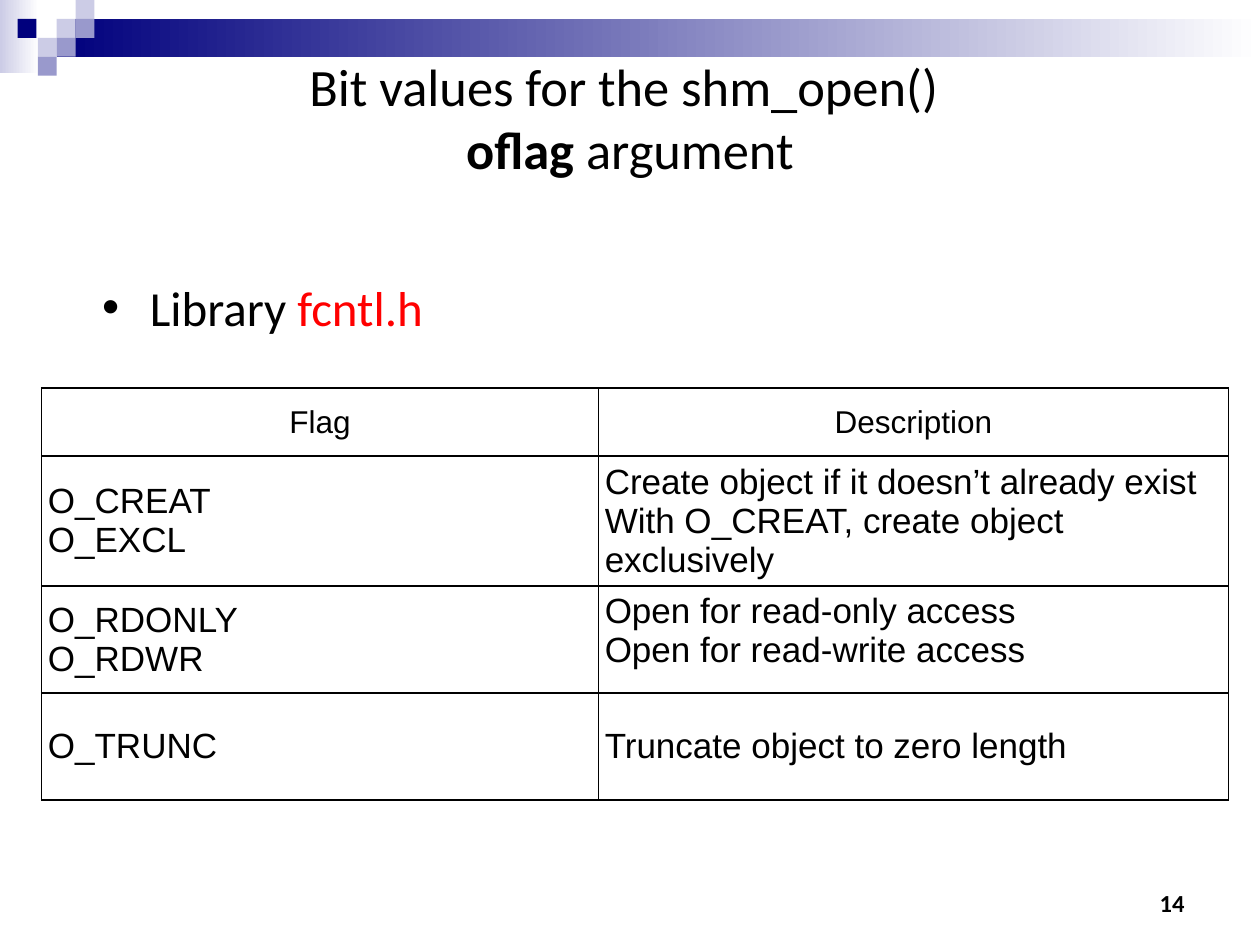
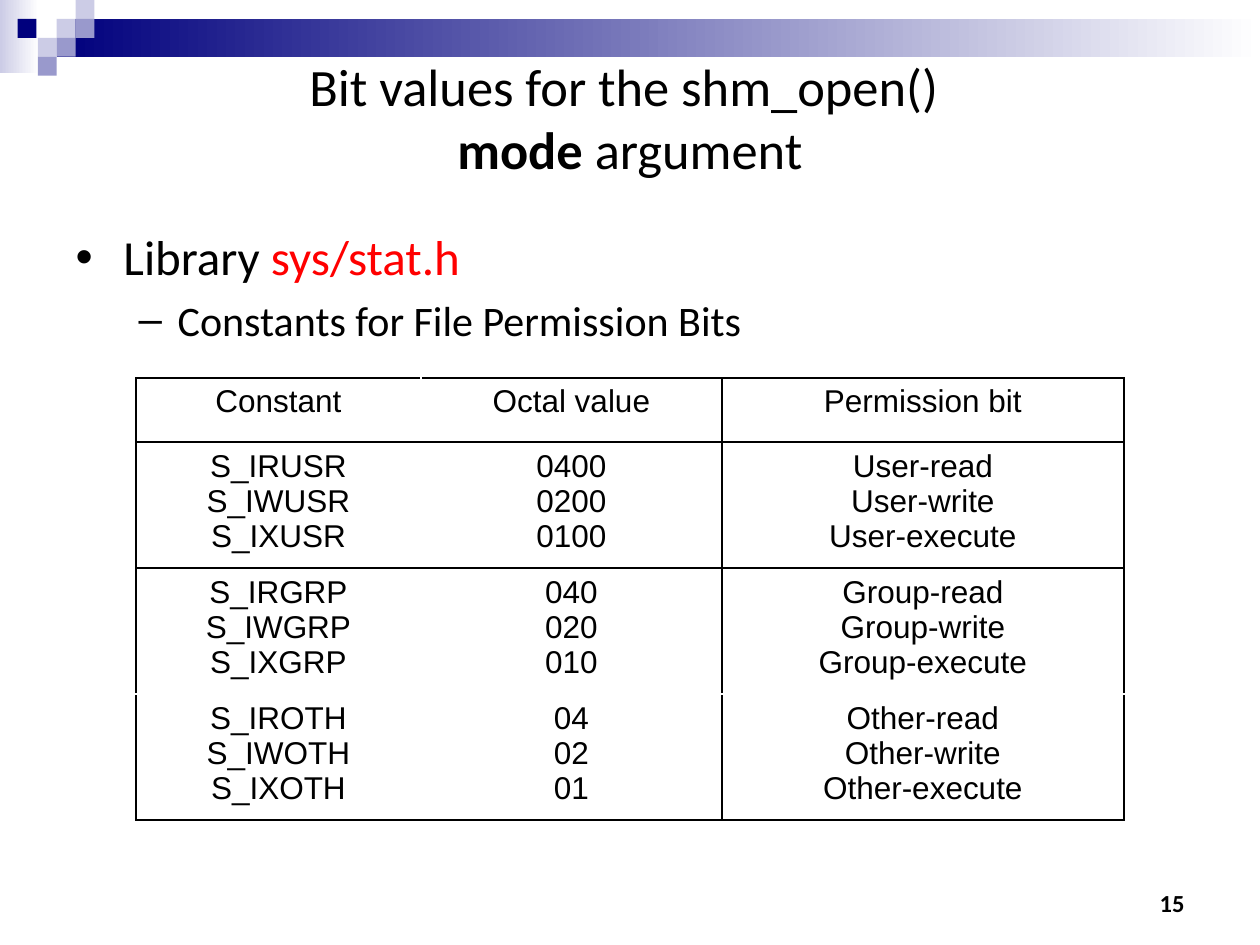
"""Build two slides on the flag and mode arguments of shm_open()."""
from dataclasses import dataclass

from lxml.etree import SubElement as Sub
from pptx import Presentation
from pptx.dml.color import RGBColor as Rgb
from pptx.enum.shapes import MSO_SHAPE as Shape
from pptx.enum.text import MSO_ANCHOR as Anchor, MSO_AUTO_SIZE as Auto, PP_ALIGN as Align
from pptx.oxml.ns import qn
from pptx.util import Inches, Pt


@dataclass(frozen=True)
class Theme:
    """Colours, fonts and type sizes."""
    ink: str = "000000"
    paper: str = "FFFFFF"
    accent: str = "FF0000"
    navy: str = "00007D"
    mid: str = "9999CC"
    pale: str = "CCCCE6"
    head: str = "Calibri"
    grid: str = "Arial"
    title: int = 30
    list: tuple = (28, 24)
    cell: int = 18
    large: int = 20
    page: int = 14


LEVELS = (("•", 0.38, 0.38, 0), ("–", 0.81, 0.31, 4.8))
FRAME = {"word_wrap": True, "auto_size": Auto.NONE,
         "margin_left": Inches(0.1), "margin_right": Inches(0.1),
         "margin_top": Inches(0.05), "margin_bottom": Inches(0.05)}
CELL = {f"margin_{side}": Inches(0.05) for side in ("left", "right", "top", "bottom")}


def put(item, form):
    """Set each attribute named in a dict of format values."""
    for name, value in form.items():
        setattr(item, name, value)


def place(shape, box):
    """Move a shape to a box given in inches."""
    put(shape, dict(zip(("left", "top", "width", "height"), map(Inches, box))))


class Deck:
    """Hold the theme and the current slide."""

    def __init__(self, theme):
        """Start an empty deck."""
        self.theme = theme
        self.show = Presentation()
        put(self.show, {"slide_width": Inches(10), "slide_height": Inches(7.5)})

    def start(self, word, page):
        """Add a slide with its bands, title and page number."""
        self.slide = self.show.slides.add_slide(self.show.slide_layouts[1])
        self.bands()
        self.title(word)
        self.page(page)

    def words(self, para, text, size, font=None, color=None, bold=False):
        """Add a run of formatted text."""
        run = para.add_run()
        run.text = text
        put(run.font, {"name": font or self.theme.head, "size": Pt(size), "bold": bold})
        run.font.color.rgb = Rgb.from_string(color or self.theme.ink)

    def block(self, box, *colors):
        """Draw a rectangle, plain or shaded, behind the text."""
        shape = self.slide.shapes.add_shape(Shape.RECTANGLE, *map(Inches, box))
        shape.shadow.inherit = False
        shape.line.fill.background()
        if len(colors) == 1:
            shape.fill.solid()
            shape.fill.fore_color.rgb = Rgb.from_string(colors[0])
        else:
            shape.fill.gradient()
            shape.fill.gradient_angle = 0
            for stop, color in zip(shape.fill.gradient_stops, colors):
                stop.color.rgb = Rgb.from_string(color)
        self.slide.shapes.title._element.addprevious(shape._element)

    def bands(self):
        """Draw the top band and its squares."""
        look, unit = self.theme, 0.15
        self.block((0, 0, 0.31, 0.58), look.pale, look.paper)
        self.block((0.45, unit, 9.55, 0.3), look.navy, look.paper)
        for left, top, color in ((3, 1, look.pale), (4, 0, look.pale), (4, 1, look.mid),
                                 (2, 2, look.pale), (0.93, 1, look.navy),
                                 (3, 2, look.mid), (2, 3, look.mid)):
            self.block((left * unit, top * unit, unit, unit), color)

    def title(self, word):
        """Fill the title, with its key word in bold."""
        shape, size = self.slide.shapes.title, self.theme.title
        place(shape, (0.5, 0.3, 9, 1.25))
        put(shape.text_frame, FRAME | {"vertical_anchor": Anchor.MIDDLE})
        para = shape.text_frame.paragraphs[0]
        para.alignment = Align.CENTER
        self.words(para, "Bit values for the shm_open() ", size)
        para.add_line_break()
        self.words(para, word, size, bold=True)
        self.words(para, " argument", size)

    def page(self, number):
        """Add the page number."""
        box = self.slide.shapes.add_textbox(*map(Inches, (7.17, 6.83, 2.33, 0.5)))
        put(box.text_frame, FRAME | {"vertical_anchor": Anchor.BOTTOM})
        para = box.text_frame.paragraphs[0]
        para.alignment = Align.RIGHT
        self.words(para, str(number), self.theme.page, bold=True)

    def list(self, box, *items):
        """Fill the body with items of level, text and accent text."""
        shape = self.slide.placeholders[1]
        place(shape, box)
        frame = shape.text_frame
        put(frame, FRAME | {"vertical_anchor": Anchor.TOP})
        for spot, (level, text, key) in enumerate(items):
            para = frame.add_paragraph() if spot else frame.paragraphs[0]
            mark, left, hang, space = LEVELS[level]
            props = para._p.get_or_add_pPr()
            props.set("marL", str(Inches(left)))
            props.set("indent", str(-Inches(hang)))
            Sub(Sub(props, qn("a:buClr")), qn("a:srgbClr"), val=self.theme.ink)
            Sub(props, qn("a:buFont"), typeface=self.theme.grid)
            Sub(props, qn("a:buChar"), char=mark)
            put(para, {"level": level, "space_before": Pt(space)})
            size = self.theme.list[level]
            self.words(para, text, size)
            if key:
                self.words(para, key, size, color=self.theme.accent)

    def edges(self, cell, row, col, clear):
        """Rule a cell, in paper colour along the cleared lines."""
        props = cell._tc.get_or_add_tcPr()
        for side, line in (("L", ("col", col)), ("R", ("col", col + 1)),
                           ("T", ("row", row)), ("B", ("row", row + 1))):
            rule = Sub(props, qn(f"a:ln{side}"), w=str(Pt(1)))
            color = self.theme.paper if line in clear else self.theme.ink
            Sub(Sub(rule, qn("a:solidFill")), qn("a:srgbClr"), val=color)

    def table(self, spot, wide, high, rows, size, align, anchor, tops=(), clear=()):
        """Add a ruled table; cells in tops keep their text at the top."""
        box = (*spot, sum(wide), sum(high))
        grid = self.slide.shapes.add_table(len(rows), len(wide), *map(Inches, box)).table
        put(grid, {"first_row": False, "horz_banding": False})
        for col, width in zip(grid.columns, wide):
            col.width = Inches(width)
        for row, height in zip(grid.rows, high):
            row.height = Inches(height)
        for r, row in enumerate(rows):
            for c, text in enumerate(row):
                cell = grid.cell(r, c)
                put(cell, CELL | {"vertical_anchor": Anchor.TOP if (r, c) in tops else anchor})
                self.edges(cell, r, c, clear)
                cell.fill.background()
                frame = cell.text_frame
                for n, line in enumerate(text.split("\n")):
                    para = frame.add_paragraph() if n else frame.paragraphs[0]
                    para.alignment = align if r else Align.CENTER
                    self.words(para, line, size if r else self.theme.cell, self.theme.grid)


def main():
    """Build and save both slides."""
    look = Theme()
    deck = Deck(look)

    deck.start("oflag", 14)
    deck.list((0.71, 2.15, 9, 1.25), (0, "Library ", "fcntl.h"))
    flags = (
        ("Flag", "Description"),
        ("O_CREAT\nO_EXCL", "Create object if it doesn’t already exist\n"
                            "With O_CREAT, create object exclusively"),
        ("O_RDONLY\nO_RDWR", "Open for read-only access\nOpen for read-write access"),
        ("O_TRUNC", "Truncate object to zero length"),
    )
    deck.table((0.33, 3.08), (4.42, 5), (0.54, 1.03, 0.85, 0.85), flags,
               look.large, Align.LEFT, Anchor.MIDDLE, tops={(2, 1)})

    deck.start("mode", 15)
    deck.list((0.5, 1.75, 9, 4.95), (0, "Library ", "sys/stat.h"),
              (1, "Constants for File Permission Bits", ""))
    modes = [("Constant", "Octal value", "Permission bit")]
    for group, code, zeros in (("User", "USR", "00"), ("Group", "GRP", "0"), ("Other", "OTH", "")):
        modes.append(("\n".join(f"S_I{act}{code}" for act in "RWX"),
                      "\n".join(f"0{bit}{zeros}" for bit in (4, 2, 1)),
                      "\n".join(f"{group}-{act}" for act in ("read", "write", "execute"))))
    deck.table((1.08, 3), (2.26, 2.39, 3.19), (0.51, 1, 1, 1), modes,
               look.cell, Align.CENTER, Anchor.TOP, clear={("col", 1), ("row", 3)})

    deck.show.save("out.pptx")


if __name__ == "__main__":
    main()
